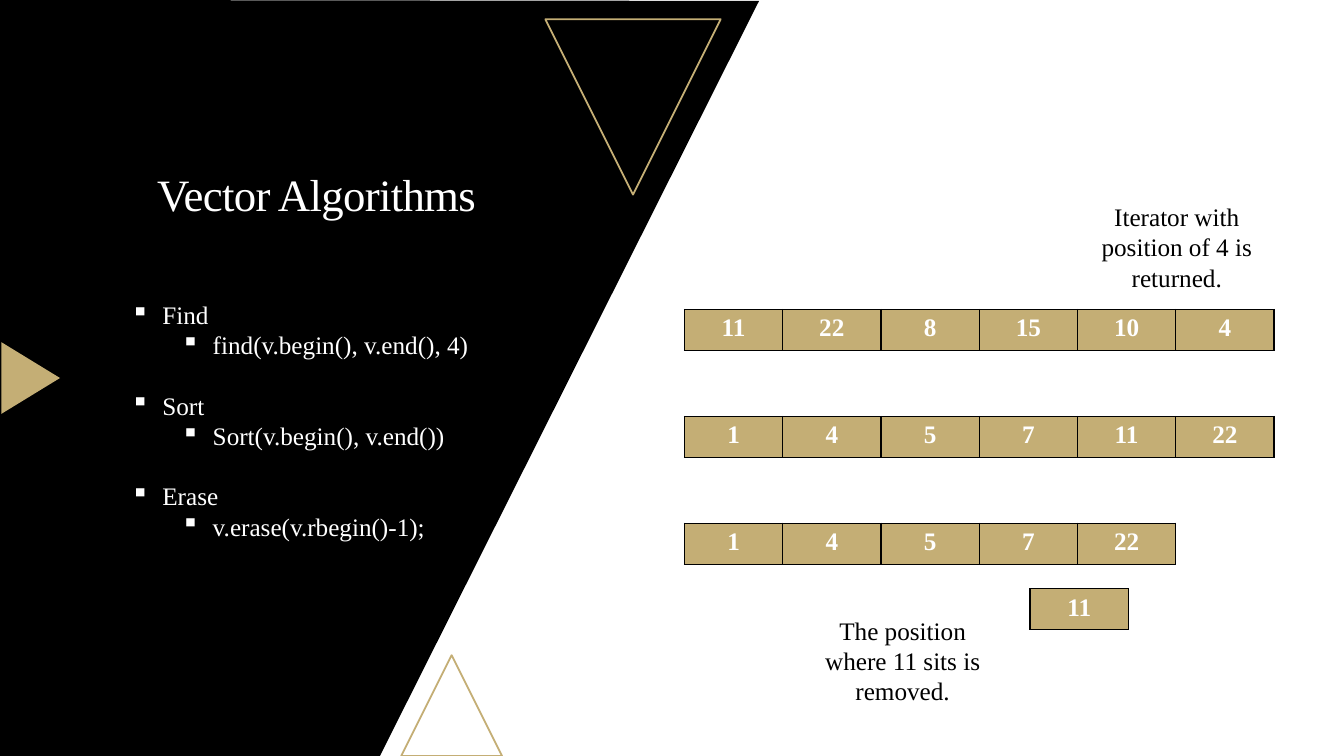
from pptx import Presentation
from pptx.dml.color import RGBColor
from pptx.enum.shapes import MSO_SHAPE
from pptx.enum.text import MSO_ANCHOR, PP_ALIGN
from pptx.oxml import parse_xml
from pptx.oxml.ns import nsdecls
from pptx.util import Pt

COLORS = {"black": "000000", "gold": "C4AE75", "white": "FFFFFF"}
FONT = "Times New Roman"

TITLE = "Vector Algorithms"
ALGORITHMS = [
    ("Find", "find(v.begin(), v.end(), 4)"),
    ("Sort", "Sort(v.begin(), v.end())"),
    ("Erase", "v.erase(v.rbegin()-1);"),
]
VECTORS = [
    [11, 22, 8, 15, 10, 4],
    [1, 4, 5, 7, 11, 22],
    [1, 4, 5, 7, 22],
]
ERASED = [11]
CAPTIONS = [
    ("Iterator with position of 4 is returned.", 771.1, 140.4),
    ("The position where 11 sits is removed.", 575.3, 435.6),
]
# left, top, width, height, rotation, filled
TRIANGLES = [
    (286.6, 468, 72, 72, 0, False),
    (389.5, 13.7, 125.3, 125.3, 180, False),
    (-3.6, 249.1, 51.1, 41.8, 90, True),
]
PANEL = [(0, 0), (542.2, 0.7), (271.4, 540), (0, 540)]

CELL_W, CELL_H = 70.2, 29.4
VECTOR_LEFT, VECTOR_TOP, VECTOR_PITCH = 488.9, 221, 76.4
LINE_H = 21.6
INDENT, LEVEL_STEP = 22.5, 36


def rgb(name):
    return RGBColor.from_string(COLORS[name])


def add_run(p, text, color, size=18, bold=False):
    r = p.add_run()
    r.text = text
    for name, value in {"name": FONT, "size": Pt(size), "bold": bold}.items():
        setattr(r.font, name, value)
    r.font.color.rgb = rgb(color)
    return r


def add_text_frame(slide, left, top, width, height, anchor=MSO_ANCHOR.TOP):
    tf = slide.shapes.add_textbox(Pt(left), Pt(top), Pt(width), Pt(height)).text_frame
    tf.word_wrap = True
    tf.vertical_anchor = anchor
    return tf


def add_panel(slide):
    points = [(Pt(x), Pt(y)) for x, y in PANEL]
    builder = slide.shapes.build_freeform(*points[0])
    builder.add_line_segments(points[1:], close=True)
    sp = builder.convert_to_shape()
    sp.shadow.inherit = False
    sp.fill.solid()
    sp.fill.fore_color.rgb = rgb("black")
    sp.line.fill.background()


def add_triangle(slide, left, top, width, height, rotation, filled):
    sp = slide.shapes.add_shape(MSO_SHAPE.ISOSCELES_TRIANGLE,
                                Pt(left), Pt(top), Pt(width), Pt(height))
    sp.rotation = rotation
    sp.shadow.inherit = False
    if filled:
        sp.fill.solid()
        sp.fill.fore_color.rgb = rgb("gold")
        sp.line.fill.background()
    else:
        sp.fill.background()
        sp.line.color.rgb = rgb("gold")
        sp.line.width = Pt(1.25)


def add_bullet(p, text, level):
    p.level = level
    add_run(p, text, "white")
    pPr = p._p.get_or_add_pPr()
    pPr.set("marL", str(Pt(INDENT + level * LEVEL_STEP)))
    pPr.set("indent", str(-Pt(INDENT)))
    pPr.append(parse_xml(f'<a:buChar {nsdecls("a")} char="▪"/>'))


def add_algorithms(slide):
    tf = add_text_frame(slide, 86.4, 210.2, 277.9, 203.8)
    for i, lines in enumerate(ALGORITHMS):
        for level, text in enumerate(lines):
            first = i == 0 and level == 0
            p = tf.paragraphs[0] if first else tf.add_paragraph()
            if i and level == 0:
                p.space_before = Pt(LINE_H)
            add_bullet(p, text, level)


def set_borders(cell):
    tcPr = cell._tc.get_or_add_tcPr()
    for i, side in enumerate("LRTB"):
        tcPr.insert(i, parse_xml(
            f'<a:ln{side} {nsdecls("a")} w="{Pt(1)}"><a:solidFill>'
            f'<a:srgbClr val="{COLORS["black"]}"/></a:solidFill></a:ln{side}>'))


def add_vector(slide, values, left, top):
    table = slide.shapes.add_table(1, len(values), Pt(left), Pt(top),
                                   Pt(CELL_W * len(values)), Pt(CELL_H)).table
    table.first_row = table.horz_banding = False
    for col, value in enumerate(values):
        table.columns[col].width = Pt(CELL_W)
        cell = table.cell(0, col)
        cell.fill.solid()
        cell.fill.fore_color.rgb = rgb("gold")
        set_borders(cell)
        p = cell.text_frame.paragraphs[0]
        p.alignment = PP_ALIGN.CENTER
        add_run(p, str(value), "white", bold=True)


def main():
    prs = Presentation()
    prs.slide_width, prs.slide_height = Pt(960), Pt(540)
    slide = prs.slides.add_slide(prs.slide_layouts[6])

    add_panel(slide)
    for triangle in TRIANGLES:
        add_triangle(slide, *triangle)

    p = add_text_frame(slide, 41, 75.6, 370.1, 129.6, MSO_ANCHOR.MIDDLE).paragraphs[0]
    p.alignment = PP_ALIGN.CENTER
    p.line_spacing = 0.9
    r = add_run(p, TITLE, "white", size=32)
    r.font._element.set("spc", "-50")

    add_algorithms(slide)
    for i, values in enumerate(VECTORS):
        add_vector(slide, values, VECTOR_LEFT, VECTOR_TOP + i * VECTOR_PITCH)
    add_vector(slide, ERASED, 735.8, 420.5)

    for text, left, top in CAPTIONS:
        p = add_text_frame(slide, left, top, 139, 72.7).paragraphs[0]
        p.alignment = PP_ALIGN.CENTER
        add_run(p, text, "black")

    prs.save("out.pptx")


if __name__ == "__main__":
    main()
